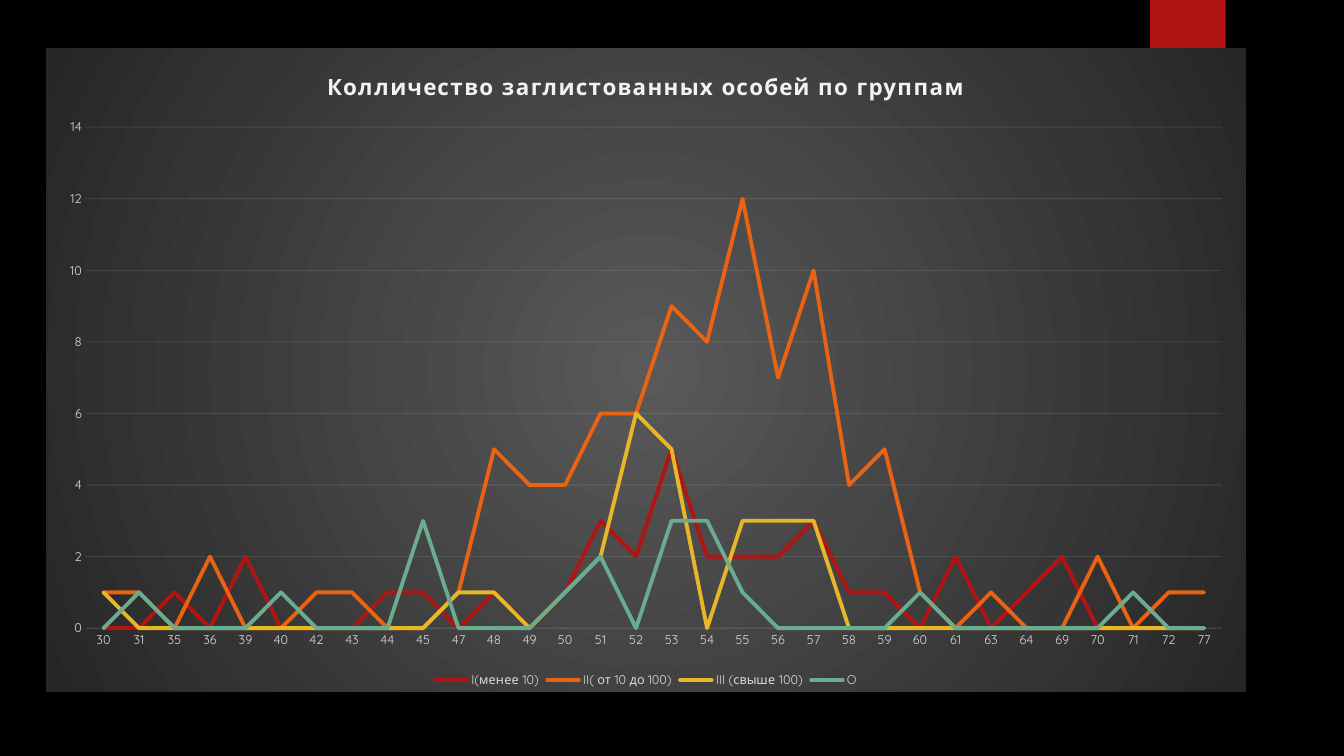
from dataclasses import dataclass

from lxml.etree import SubElement
from pptx import Presentation
from pptx.chart.chart import Chart
from pptx.chart.data import CategoryChartData
from pptx.dml.color import RGBColor as RGB
from pptx.enum.chart import XL_CHART_TYPE as ChartType
from pptx.enum.chart import XL_LEGEND_POSITION as LegendPos
from pptx.enum.chart import XL_TICK_MARK as TickMark
from pptx.enum.shapes import MSO_SHAPE as Shape
from pptx.oxml import parse_xml
from pptx.oxml.ns import nsdecls, qn
from pptx.util import Pt


@dataclass(frozen=True)
class Theme:
    font: str = "Quicksand"
    back: str = "000000"
    tab: str = "B01513"
    title: str = "F2F2F2"
    label: str = "D9D9D9"
    text: str = "FFFFFF"
    grid: str = "F2F2F2"
    glow: str = "595959"
    edge: str = "262626"
    title_size: float = 16
    label_size: float = 9
    text_size: float = 10
    grid_width: float = 0.75
    series_width: float = 2.75


@dataclass(frozen=True)
class Box:
    left: float
    top: float
    width: float
    height: float

    def lengths(self) -> list[Pt]:
        return [Pt(v) for v in (self.left, self.top, self.width, self.height)]


@dataclass(frozen=True)
class Group:
    name: str
    color: str
    counts: list[int]


THEME = Theme()
TAB_BOX = Box(821.5, 0, 54, 90)
CHART_BOX = Box(33, 34.3, 857, 460)
PLOT_SHARE = {"x": 0.033, "y": 0.123, "w": 0.947, "h": 0.778}
TITLE = "Колличество заглистованных особей по группам"
SIZES = [30, 31, 35, 36, 39, 40, 42, 43, 44, 45, 47, 48, 49, 50, 51, 52,
         53, 54, 55, 56, 57, 58, 59, 60, 61, 63, 64, 69, 70, 71, 72, 77]
GROUPS = [
    Group("I(менее 10)", "B01513",
          [0, 0, 1, 0, 2, 0, 0, 0, 1, 1, 0, 1, 0, 1, 3, 2,
           5, 2, 2, 2, 3, 1, 1, 0, 2, 0, 1, 2, 0, 0, 0, 0]),
    Group("II( от 10 до 100)", "EA6312",
          [1, 1, 0, 2, 0, 0, 1, 1, 0, 0, 1, 5, 4, 4, 6, 6,
           9, 8, 12, 7, 10, 4, 5, 1, 0, 1, 0, 0, 2, 0, 1, 1]),
    Group("III (свыше 100)", "E6B729",
          [1, 0, 0, 0, 0, 0, 0, 0, 0, 0, 1, 1, 0, 1, 2, 6,
           5, 0, 3, 3, 3, 0, 0, 0, 0, 0, 0, 0, 0, 0, 0, 0]),
    Group("O", "6AAC90",
          [0, 1, 0, 0, 0, 1, 0, 0, 0, 3, 0, 0, 0, 1, 2, 0,
           3, 3, 1, 0, 0, 0, 0, 1, 0, 0, 0, 0, 0, 1, 0, 0]),
]


def set_font(font, color: str, size: float, bold: bool = False) -> None:
    for name, value in {"name": THEME.font, "size": Pt(size), "bold": bold}.items():
        setattr(font, name, value)
    font.color.rgb = RGB.from_string(color)


def set_line(line, color: str, width: float) -> None:
    line.width = Pt(width)
    line.color.rgb = RGB.from_string(color)


def add_tab(slide) -> None:
    s = slide.shapes.add_shape(Shape.RECTANGLE, *TAB_BOX.lengths())
    s.shadow.inherit = False
    s.fill.solid()
    s.fill.fore_color.rgb = RGB.from_string(THEME.tab)
    s.line.fill.background()


def add_chart(slide) -> Chart:
    data = CategoryChartData()
    data.categories = [str(size) for size in SIZES]
    for group in GROUPS:
        data.add_series(group.name, group.counts)
    chart = slide.shapes.add_chart(ChartType.LINE, *CHART_BOX.lengths(), data).chart
    set_font(chart.font, THEME.text, THEME.text_size)

    p = chart.chart_title.text_frame.paragraphs[0]
    r = p.add_run()
    r.text = TITLE
    set_font(r.font, THEME.title, THEME.title_size, bold=True)
    chart.chart_title.include_in_layout = False

    chart.has_legend = True
    chart.legend.position = LegendPos.BOTTOM
    chart.legend.include_in_layout = False
    set_font(chart.legend.font, THEME.label, THEME.label_size)

    chart.plots[0].vary_by_categories = False
    for series, group in zip(chart.plots[0].series, GROUPS):
        series.smooth = False
        set_line(series.format.line, group.color, THEME.series_width)
    return chart


def format_axes(chart: Chart) -> None:
    for axis in (chart.category_axis, chart.value_axis):
        axis.major_tick_mark = axis.minor_tick_mark = TickMark.NONE
        set_font(axis.tick_labels.font, THEME.label, THEME.label_size)
    set_line(chart.category_axis.format.line, THEME.grid, THEME.grid_width)
    value = chart.value_axis
    value.format.line.fill.background()
    value.has_major_gridlines = True
    set_line(value.major_gridlines.format.line, THEME.grid, THEME.grid_width)
    for name, scale in {"minimum_scale": 0, "maximum_scale": 14, "major_unit": 2}.items():
        setattr(value, name, scale)


def refine_xml(chart: Chart) -> None:
    """Set what has no public method: gradient, transparency, spacing, layout."""
    root = chart.element
    for color in root.xpath(".//c:catAx/c:spPr//a:srgbClr | .//c:majorGridlines//a:srgbClr"):
        SubElement(color, qn("a:alpha")).set("val", "10000")
    for line in root.xpath(".//c:ser/c:spPr/a:ln"):
        line.set("cap", "rnd")
    for props in root.xpath(".//c:title//a:r/a:rPr"):
        props.set("spc", "100")

    plot_area = root.xpath("c:chart/c:plotArea")[0]
    for layout in plot_area.xpath("c:layout"):
        plot_area.remove(layout)
    shares = "".join(f'<c:{k} val="{v}"/>' for k, v in PLOT_SHARE.items())
    plot_area.insert(0, parse_xml(
        f'<c:layout {nsdecls("c")}><c:manualLayout><c:layoutTarget val="inner"/>'
        f'<c:xMode val="edge"/><c:yMode val="edge"/>{shares}'
        '</c:manualLayout></c:layout>'))

    body = root.xpath("c:chart")[0]
    body.addprevious(parse_xml(f'<c:roundedCorners {nsdecls("c")} val="0"/>'))
    body.addnext(parse_xml(
        f'<c:spPr {nsdecls("c", "a")}><a:gradFill><a:gsLst>'
        f'<a:gs pos="0"><a:srgbClr val="{THEME.glow}"/></a:gs>'
        f'<a:gs pos="100000"><a:srgbClr val="{THEME.edge}"/></a:gs></a:gsLst>'
        '<a:path path="circle"><a:fillToRect l="50000" t="50000" r="50000" b="50000"/>'
        '</a:path></a:gradFill><a:ln><a:noFill/></a:ln></c:spPr>'))


def main() -> None:
    prs = Presentation()
    prs.slide_width, prs.slide_height = Pt(960), Pt(540)
    slide = prs.slides.add_slide(prs.slide_layouts.get_by_name("Blank"))
    slide.background.fill.solid()
    slide.background.fill.fore_color.rgb = RGB.from_string(THEME.back)
    add_tab(slide)
    chart = add_chart(slide)
    format_axes(chart)
    refine_xml(chart)
    prs.save("out.pptx")


if __name__ == "__main__":
    main()
